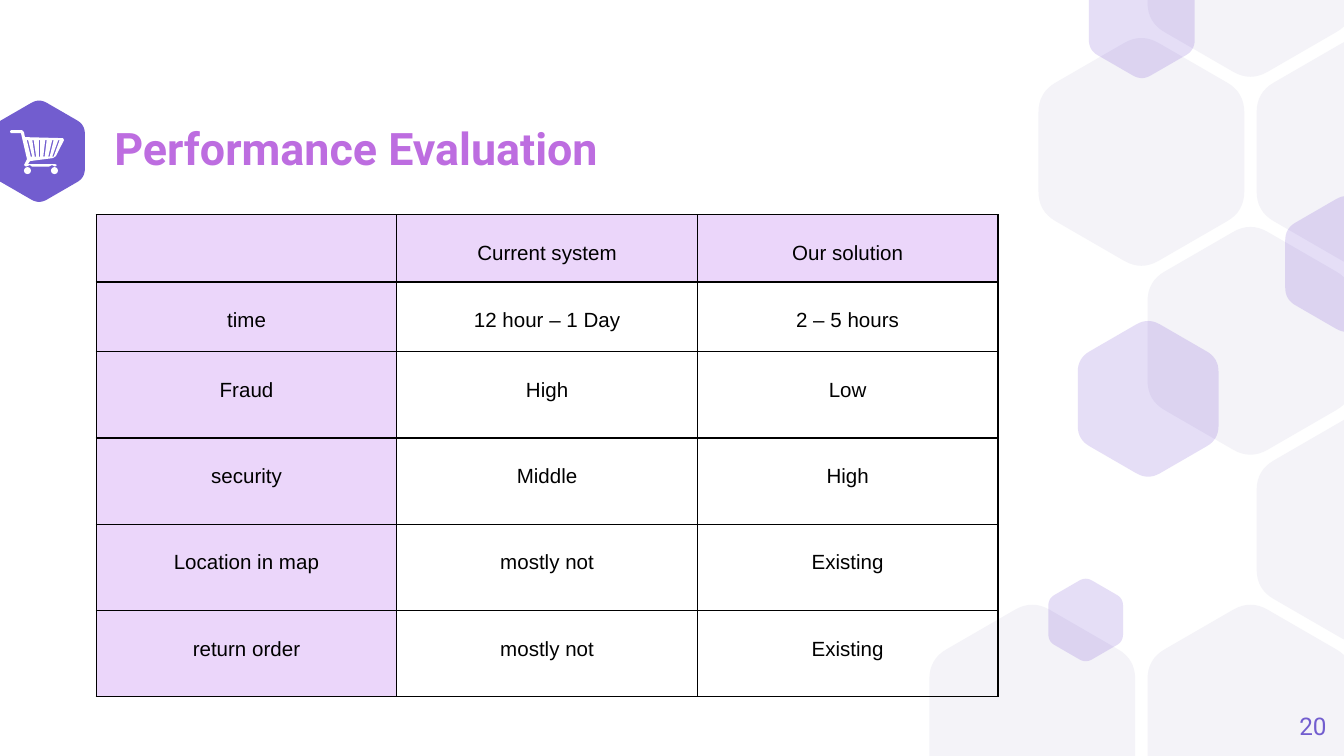
from math import cos, pi, sin, sqrt

from lxml.etree import SubElement
from pptx import Presentation
from pptx.dml.color import RGBColor
from pptx.enum.shapes import MSO_SHAPE
from pptx.enum.text import MSO_ANCHOR, PP_ALIGN
from pptx.oxml.ns import qn
from pptx.util import Cm, Pt

WIDTH, HEIGHT = 25.4, 14.29
VIOLET, ACCENT, PALE, LILAC = "725DCF", "5322C9", "F4F3F8", "EBD6FA"
ROWS = [
    ("", "Current system", "Our solution"),
    ("time", "12 hour – 1 Day", "2 – 5 hours"),
    ("Fraud", "High", "Low"),
    ("security", "Middle", "High"),
    ("Location in map", "mostly not", "Existing"),
    ("return order", "mostly not", "Existing"),
]
ROW_HEIGHTS = [1.27, 1.32] + [1.63] * 4


def set_all(obj, values):
    for name, value in values.items():
        setattr(obj, name, value)


def paint(fill, color, alpha=None):
    fill.solid()
    fill.fore_color.rgb = RGBColor.from_string(color)
    if alpha is not None:
        clr = fill._xPr.find(qn("a:solidFill"))[0]
        SubElement(clr, qn("a:alpha"), val=str(alpha * 1000))


def finish(sp, color, alpha=None):
    paint(sp.fill, color, alpha)
    sp.line.fill.background()
    sp.shadow.inherit = False


def add_outline(s, contours, color, alpha=None):
    contours = [[(Cm(x), Cm(y)) for x, y in points] for points in contours]
    fb = s.shapes.build_freeform(*contours[0][0])
    fb.add_line_segments(contours[0][1:])
    for points in contours[1:]:
        fb.move_to(*points[0])
        fb.add_line_segments(points[1:])
    finish(fb.convert_to_shape(), color, alpha)


def add_hexagon(s, cx, cy, width, color, alpha=None, trim=1 / 6, steps=8):
    radius = width / sqrt(3)
    corners = [(cx + radius * sin(i * pi / 3), cy - radius * cos(i * pi / 3))
               for i in range(6)]
    points = []
    for i, (x, y) in enumerate(corners):
        (px, py), (nx, ny) = corners[i - 1], corners[(i + 1) % 6]
        for step in range(steps + 1):
            t = step / steps
            a, b = trim * (1 - t) ** 2, trim * t ** 2
            px_y = y + a * (py - y) + b * (ny - y)
            points.append((x + a * (px - x) + b * (nx - x),
                           min(max(px_y, 0), HEIGHT)))
    add_outline(s, [points], color, alpha)


def add_honeycomb(s, left, top, width):
    pitch_x, pitch_y = width * 0.53, width * 0.918
    for col, row in [(0, 4), (2, 4), (3, 1), (2, 0), (2, 2), (1, 1), (3, 3)]:
        add_hexagon(s, left + col * pitch_x, top + row * pitch_y, width, PALE)
    for dx, dy, size in [(5.94, 5.69, 2.32), (1.01, 12.42, 1.41),
                         (2.07, 1.07, 2), (2.19, 8.24, 2.66)]:
        add_hexagon(s, left + dx, top + dy, size, ACCENT, 15)


def add_cart(s, left, top, width):
    unit = width / 54
    body = [(1, 0), (12, 0), (14, 2), (15, 7), (53, 8), (54, 10), (46, 26),
            (43, 28), (20, 31), (18, 34), (45, 34), (47, 35), (45, 36.5),
            (42, 35), (39, 36.5), (22, 36.5), (20, 35), (16, 36.5),
            (14, 35), (17, 29), (11, 3), (1, 3), (0, 1.5)]
    slots = [[(x1 - 0.7, 10), (x2 - 0.7, 26.5), (x2 + 0.7, 26.5), (x1 + 0.7, 10)]
             for x1, x2 in [(17.5, 21.5), (23, 25.5), (29.5, 29.5),
                            (36, 34), (43, 39), (49, 43)]]
    add_outline(s, [[(left + x * unit, top + y * unit) for x, y in points]
                    for points in [body] + slots], "FFFFFF")
    for x in (14, 41):
        wheel = s.shapes.add_shape(
            MSO_SHAPE.OVAL, Cm(left + x * unit), Cm(top + 37 * unit),
            Cm(7 * unit), Cm(7 * unit))
        finish(wheel, "FFFFFF")


def add_badge(s, cx, cy, width):
    add_hexagon(s, cx, cy, width, VIOLET)
    add_cart(s, cx - 0.55, cy - 0.4, 1.02)


def write(sp, text, box, align, font, color, spacing=1.0):
    set_all(sp, dict(zip(("left", "top", "width", "height"), map(Cm, box))))
    tf = sp.text_frame
    set_all(tf, {"margin_left": 0, "margin_right": 0, "margin_top": 0,
                 "margin_bottom": 0, "word_wrap": True,
                 "vertical_anchor": MSO_ANCHOR.MIDDLE})
    p = tf.paragraphs[0]
    set_all(p, {"alignment": align, "line_spacing": spacing})
    r = p.add_run()
    r.text = text
    set_all(r.font, font)
    r.font.color.rgb = RGBColor.from_string(color)


def add_borders(cell):
    tcPr = cell._tc.get_or_add_tcPr()
    for side in "LRTB":
        ln = SubElement(tcPr, qn(f"a:ln{side}"), w=str(Pt(0.75)))
        fill = SubElement(ln, qn("a:solidFill"))
        SubElement(fill, qn("a:srgbClr"), val="000000")


def add_comparison(s, left, top, width):
    table = s.shapes.add_table(
        len(ROWS), len(ROWS[0]), Cm(left), Cm(top), Cm(width),
        Cm(sum(ROW_HEIGHTS))).table
    set_all(table, {"first_row": False, "horz_banding": False})
    for i, texts in enumerate(ROWS):
        table.rows[i].height = Cm(ROW_HEIGHTS[i])
        for j, text in enumerate(texts):
            cell = table.cell(i, j)
            set_all(cell, {"text": text, "margin_left": Cm(0.18),
                           "margin_right": Cm(0.18), "margin_top": Cm(0.48),
                           "margin_bottom": 0})
            add_borders(cell)
            if i == 0 or j == 0:
                paint(cell.fill, LILAC)
            else:
                cell.fill.background()
            p = cell.text_frame.paragraphs[0]
            set_all(p, {"alignment": PP_ALIGN.CENTER, "line_spacing": 1.07})
            set_all(p.font, {"name": "Arial", "size": Pt(11)})
            p.font.color.rgb = RGBColor.from_string("000000")


def main():
    prs = Presentation()
    set_all(prs, {"slide_width": Cm(WIDTH), "slide_height": Cm(HEIGHT)})
    s = prs.slides.add_slide(prs.slide_layouts[5])
    add_badge(s, 0.74, 2.86, 1.73)
    add_honeycomb(s, 19.51, -0.7, 3.89)
    write(s.shapes.title, "Performance Evaluation", (2.16, 2.31, 16.69, 1.09),
          PP_ALIGN.LEFT, {"name": "Roboto", "size": Pt(24), "bold": True},
          "BD6DE0", 0.9)
    number = s.shapes.add_textbox(0, 0, 0, 0)
    write(number, "20", (23.55, 13.18, 1.52, 1.09), PP_ALIGN.RIGHT,
          {"name": "Roboto", "size": Pt(13)}, VIOLET)
    add_comparison(s, 1.82, 4.06, 17.04)
    prs.save("out.pptx")


if __name__ == "__main__":
    main()
